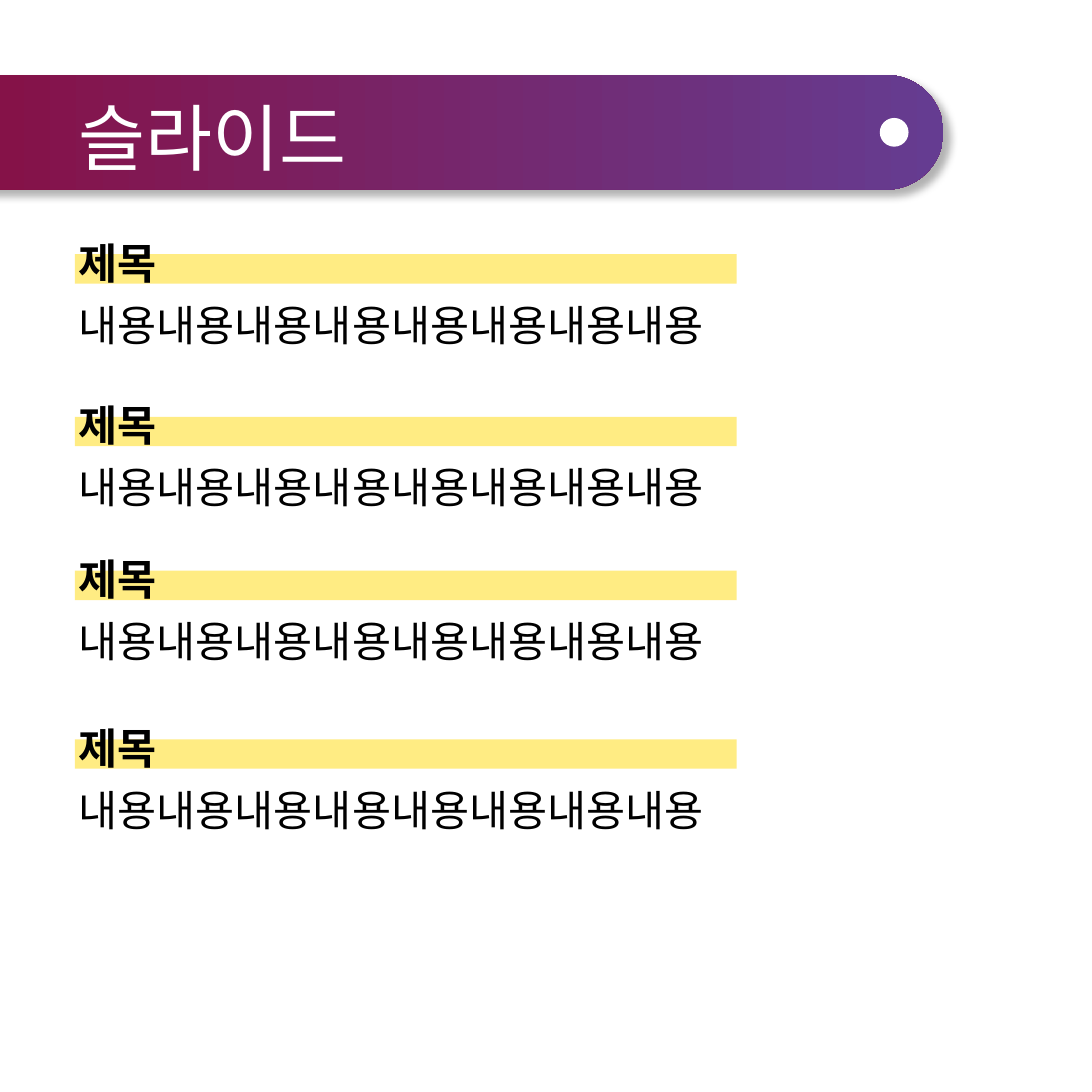
from lxml import etree
from pptx import Presentation
from pptx.dml.color import RGBColor
from pptx.enum.shapes import MSO_SHAPE
from pptx.enum.text import MSO_ANCHOR, MSO_AUTO_SIZE, PP_ALIGN
from pptx.oxml.ns import qn
from pptx.util import Inches, Pt

ROUNDED, RECTANGLE, OVAL = MSO_SHAPE.ROUNDED_RECTANGLE, MSO_SHAPE.RECTANGLE, MSO_SHAPE.OVAL
MIDDLE, TOP = MSO_ANCHOR.MIDDLE, MSO_ANCHOR.TOP
GROW, FIXED = MSO_AUTO_SIZE.SHAPE_TO_FIT_TEXT, MSO_AUTO_SIZE.NONE

FONT = "Noto Sans CJK KR"
COLORS = {"wine": "8A0C3E", "violet": "653C91", "white": "FFFFFF",
          "black": "000000", "yellow": "FFDA09"}
TITLE_ROOM = 5.8
LEFT = 2.06

# Top of each section's heading, width of its heading box
SECTIONS = [(6.45, 26.86), (10.92, 25.87), (15.15, 26.85), (19.78, 27.16)]
HIGHLIGHT_DROP, BODY_DROP = 0.53, 1.71


def write(box, text, size=84, color="black", bold=False, anchor=TOP, fit=GROW, spacing=None):
    frame = box.text_frame
    frame.word_wrap = True
    frame.auto_size = fit
    frame.vertical_anchor = anchor
    paragraph = frame.paragraphs[0]
    paragraph.alignment = PP_ALIGN.LEFT
    paragraph.line_spacing = spacing
    run = paragraph.add_run()
    run.text = text
    run.font.size = Pt(size)
    run.font.bold = bold
    run.font.name = FONT
    run.font.color.rgb = RGBColor.from_string(COLORS[color])
    east_asian = etree.SubElement(run.font._element, qn("a:ea"))
    east_asian.set("typeface", FONT)


def add_plain_shape(kind, left, top, width, height, color):
    shape = slide.shapes.add_shape(kind, Inches(left), Inches(top), Inches(width), Inches(height))
    shape.shadow.inherit = False
    shape.line.fill.background()
    shape.fill.solid()
    shape.fill.fore_color.rgb = RGBColor.from_string(COLORS[color])
    return shape


prs = Presentation()
prs.slide_width = prs.slide_height = Inches(30)
slide = prs.slides.add_slide(prs.slide_layouts[5])

# Title banner
banner = add_plain_shape(ROUNDED, -3.68, 2.06, 29.6, 3.15, "wine")
banner.adjustments[0] = 0.5
banner.fill.gradient()
banner.fill.gradient_angle = 0
for stop, position, color in zip(banner.fill.gradient_stops, (0, 1), ("wine", "violet")):
    stop.position = position
    stop.color.rgb = RGBColor.from_string(COLORS[color])

effects = banner.element.spPr.find(qn("a:effectLst"))
shadow = etree.SubElement(effects, qn("a:outerShdw"), blurRad=str(Pt(16)), dist=str(Pt(16)),
                          dir=str(45 * 60000), algn="tl", rotWithShape="0")
shadow_color = etree.SubElement(shadow, qn("a:srgbClr"), val=COLORS["black"])
etree.SubElement(shadow_color, qn("a:alpha"), val="30000")

add_plain_shape(OVAL, 24.17, 3.24, 0.79, 0.79, "white")

title = slide.shapes.title
title.left, title.top = Inches(LEFT), Inches(1)
title.width, title.height = Inches(21.62), Inches(TITLE_ROOM)
write(title, "슬라이드", size=144, color="white", anchor=MIDDLE, fit=FIXED, spacing=0.9)
slide.shapes.element.append(title.element)  # bring the title in front of the banner

# Sections: highlighted heading with a line of content
for top, heading_width in SECTIONS:
    highlight = add_plain_shape(RECTANGLE, LEFT, top + HIGHLIGHT_DROP, 18.18, 0.81, "yellow")
    highlight_color = highlight.element.spPr.find(qn("a:solidFill"))[0]
    etree.SubElement(highlight_color, qn("a:alpha"), val="50000")

    heading = slide.shapes.add_textbox(Inches(LEFT), Inches(top), Inches(heading_width), Inches(1.51))
    write(heading, "제목", bold=True)

    body = slide.shapes.add_textbox(Inches(LEFT), Inches(top + BODY_DROP), Inches(17.77), Inches(1.51))
    write(body, "내용내용내용내용내용내용내용내용")

prs.save("out.pptx")
